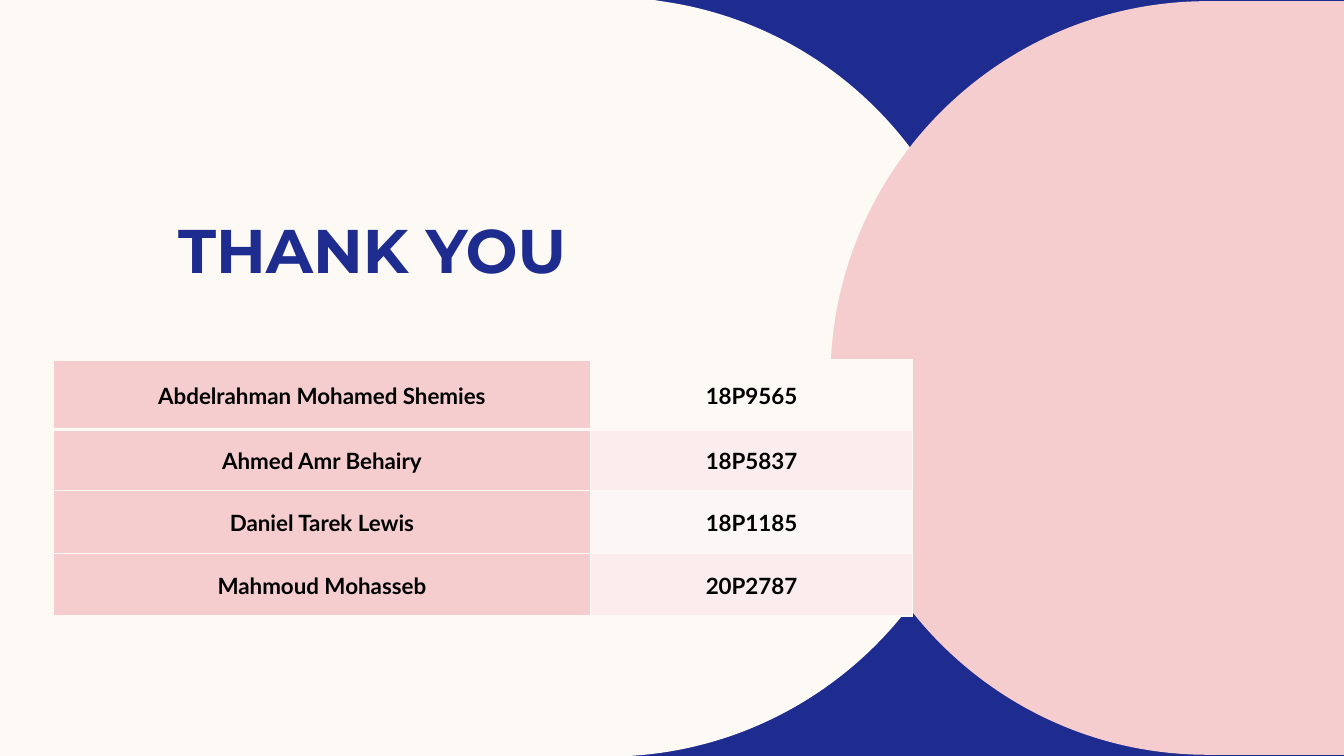
"""Build the closing slide with a thank-you title and a table of team members."""
from pptx import Presentation
from pptx import util as u
from pptx.dml.color import RGBColor
from pptx.enum import text
from pptx.oxml import parse_xml
from pptx.oxml.ns import nsdecls, qn

BLUE = RGBColor(0x1F, 0x2C, 0x8F)
CREAM = RGBColor(0xFD, 0xFA, 0xF6)
PINK = RGBColor(0xF5, 0xCD, 0xCE)
PALE_PINK = RGBColor(0xFB, 0xED, 0xED)
FAINT_PINK = RGBColor(0xFD, 0xF6, 0xF6)
BLACK = RGBColor(0, 0, 0)

TITLE = "THANK YOU"
MEMBERS = [
    ("Abdelrahman Mohamed Shemies", "18P9565", CREAM),
    ("Ahmed Amr Behairy", "18P5837", PALE_PINK),
    ("Daniel Tarek Lewis", "18P1185", FAINT_PINK),
    ("Mahmoud Mohasseb", "20P2787", PALE_PINK),
]
COL_WIDTHS = (13.53, 8.12)
ROW_HEIGHTS = (1.75, 1.55, 1.58, 1.57)
WIDTH, HEIGHT = 33.87, 19.05
PANELS = [
    dict(
        color=CREAM,
        before=[(0, 0), (16.48, 0), (16.79, 0.05)],
        curves=[(21.36, 0.74), (24.87, 4.7), (24.87, 9.5),
                (24.87, 14.61), (20.85, 18.77), (15.85, HEIGHT)],
        after=[(15.34, HEIGHT), (0, HEIGHT)],
    ),
    dict(
        color=PINK,
        before=[(30.43, 0.03), (WIDTH, 0.03), (WIDTH, 19.02), (30.43, 19.02)],
        curves=[(25.2, 19.02), (20.93, 14.76), (20.93, 9.53),
                (20.93, 4.29), (25.2, 0.03), (30.43, 0.03)],
        after=[],
    ),
]


def add_panel(s, color, before, curves, after):
    """Draw a panel whose outline has straight edges around Bezier curves."""
    points = [(u.Cm(x), u.Cm(y)) for x, y in before + curves + after]
    builder = s.shapes.build_freeform(*points[0])
    builder.add_line_segments(points[1:], close=True)
    sp = builder.convert_to_shape()
    segments = list(sp.element.iter(qn("a:lnTo")))
    first = len(before) - 1
    for i in range(first, first + len(curves), 3):
        curve = parse_xml(f'<a:cubicBezTo {nsdecls("a")}/>')
        segments[i].addprevious(curve)
        for segment in segments[i:i + 3]:
            curve.append(segment[0])
            segment.getparent().remove(segment)
    sp.shadow.inherit = False
    sp.fill.solid()
    sp.fill.fore_color.rgb = color
    sp.line.fill.background()


def write(tf, content, font, size, color, align, spacing, after=0):
    """Fill a text frame with one bold paragraph."""
    p = tf.paragraphs[0]
    p.alignment = align
    p.line_spacing = spacing
    p.space_before, p.space_after = u.Pt(0), u.Pt(after)
    r = p.add_run()
    r.text = content
    r.font.name, r.font.size, r.font.bold = font, u.Pt(size), True
    r.font.color.rgb = color


def set_borders(cell, top, bottom):
    """Give a cell cream borders, with top and bottom widths in points."""
    tc_pr = cell._tc.get_or_add_tcPr()
    for i, (side, width) in enumerate([("L", 1), ("R", 1), ("T", top), ("B", bottom)]):
        tc_pr.insert(i, parse_xml(
            f'<a:ln{side} {nsdecls("a")} w="{u.Pt(width)}"><a:solidFill>'
            f'<a:srgbClr val="{CREAM}"/></a:solidFill></a:ln{side}>'))


def add_title(s):
    """Format the title placeholder and bring it in front of the panels."""
    sp = s.shapes.title
    sp.left, sp.top, sp.width, sp.height = u.Cm(4.24), u.Cm(5.49), u.Cm(11.58), u.Cm(1.85)
    tf = sp.text_frame
    tf.auto_size = text.MSO_AUTO_SIZE.NONE
    tf.vertical_anchor = text.MSO_ANCHOR.MIDDLE
    tf.margin_left = tf.margin_right = u.Cm(0.25)
    tf.margin_top, tf.margin_bottom = 0, u.Cm(0.13)
    write(tf, TITLE, font="Montserrat", size=44, color=BLUE,
          align=text.PP_ALIGN.LEFT, spacing=u.Pt(48.8))
    sp.element.getparent().append(sp.element)


def add_members(s):
    """Add the table of names and numbers."""
    table = s.shapes.add_table(
        len(MEMBERS), len(COL_WIDTHS), u.Cm(1.35), u.Cm(9.07),
        u.Cm(sum(COL_WIDTHS)), u.Cm(sum(ROW_HEIGHTS))).table
    table.first_row = table.horz_banding = False
    for column, width in zip(table.columns, COL_WIDTHS):
        column.width = u.Cm(width)
    for i, (name, number, color) in enumerate(MEMBERS):
        table.rows[i].height = u.Cm(ROW_HEIGHTS[i])
        for j, (content, fill) in enumerate([(name, PINK), (number, color)]):
            cell = table.cell(i, j)
            cell.fill.solid()
            cell.fill.fore_color.rgb = fill
            cell.vertical_anchor = text.MSO_ANCHOR.MIDDLE
            cell.margin_left = cell.margin_right = u.Cm(0.08)
            cell.margin_top = cell.margin_bottom = u.Cm(0.05)
            set_borders(cell, top=3 if i == 1 else 1, bottom=3 if i == 0 else 1)
            write(cell.text_frame, content, font="Lato", size=16, color=BLACK,
                  align=text.PP_ALIGN.CENTER, spacing=1.07, after=8)


def main():
    """Build and save the slide."""
    prs = Presentation()
    prs.slide_width, prs.slide_height = u.Cm(WIDTH), u.Cm(HEIGHT)
    s = prs.slides.add_slide(prs.slide_layouts[5])
    s.background.fill.solid()
    s.background.fill.fore_color.rgb = BLUE
    for panel in PANELS:
        add_panel(s, **panel)
    add_title(s)
    add_members(s)
    prs.save("out.pptx")


if __name__ == "__main__":
    main()
